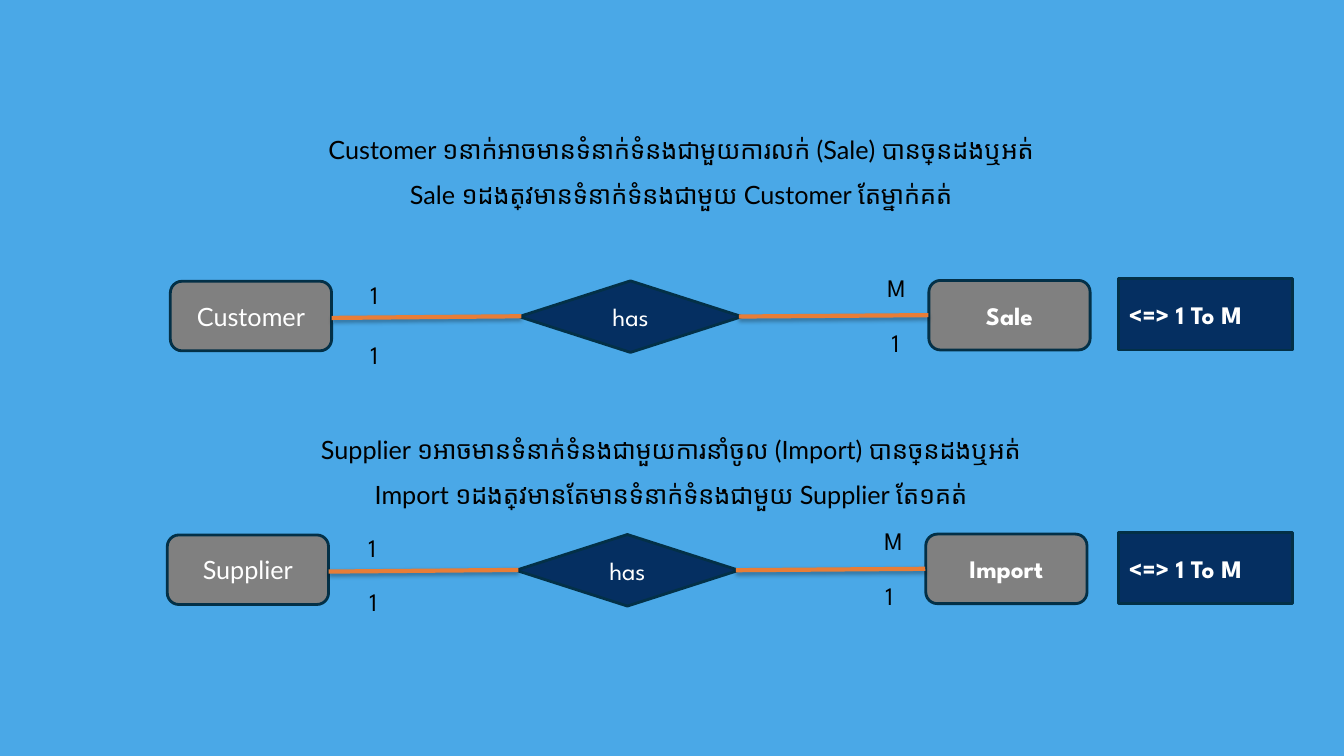
from dataclasses import dataclass

from lxml.etree import SubElement
from pptx import Presentation
from pptx.dml.color import RGBColor
from pptx.enum.shapes import MSO_CONNECTOR, MSO_SHAPE
from pptx.enum.text import MSO_ANCHOR, PP_ALIGN
from pptx.oxml.ns import qn
from pptx.util import Pt


@dataclass(frozen=True)
class Theme:
    background: str = "4AA8E7"
    entity: str = "808080"
    relation: str = "052F61"
    outline: str = "033047"
    link: str = "E87D37"
    dark_text: str = "000000"
    light_text: str = "FFFFFF"
    body_font: str = "Lato"
    accent_font: str = "League Spartan"
    text_size: float = 18
    outline_width: float = 2
    link_width: float = 3


class DiagramSlide:
    def __init__(self, slide, theme):
        self.slide = slide
        self.theme = theme
        fill = slide.background.fill
        fill.solid()
        fill.fore_color.rgb = RGBColor.from_string(theme.background)

    def set_text(self, shape, lines, font, color, align, bold=False, spacing=None):
        frame = shape.text_frame
        frame.word_wrap = True
        frame.text = "\n".join(lines)
        for paragraph in frame.paragraphs:
            paragraph.alignment = align
            paragraph.line_spacing = spacing
            paragraph.font.name = font
            paragraph.font.size = Pt(self.theme.text_size)
            paragraph.font.bold = bold
            paragraph.font.color.rgb = RGBColor.from_string(color)

    def text(self, lines, left, top, width, height, font, align, spacing=None):
        box = self.slide.shapes.add_textbox(Pt(left), Pt(top), Pt(width), Pt(height))
        self.set_text(box, lines, font, self.theme.dark_text, align, spacing=spacing)

    def node(self, kind, label, left, top, width, height, color, font,
             bold=False, align=PP_ALIGN.CENTER):
        shape = self.slide.shapes.add_shape(kind, Pt(left), Pt(top), Pt(width), Pt(height))
        shape.shadow.inherit = False
        shape.fill.solid()
        shape.fill.fore_color.rgb = RGBColor.from_string(color)
        shape.line.color.rgb = RGBColor.from_string(self.theme.outline)
        shape.line.width = Pt(self.theme.outline_width)
        shape.text_frame.vertical_anchor = MSO_ANCHOR.MIDDLE
        self.set_text(shape, [label], font, self.theme.light_text, align, bold)

    def link(self, start_x, start_y, end_x, end_y):
        connector = self.slide.shapes.add_connector(
            MSO_CONNECTOR.STRAIGHT, Pt(start_x), Pt(start_y), Pt(end_x), Pt(end_y))
        connector.line.color.rgb = RGBColor.from_string(self.theme.link)
        connector.line.width = Pt(self.theme.link_width)
        # Soft shadow straight below the line
        effects = SubElement(connector._element.spPr, qn("a:effectLst"))
        shadow = SubElement(effects, qn("a:outerShdw"), blurRad=str(Pt(3.1)),
                            dist=str(Pt(1.8)), dir="5400000", rotWithShape="0")
        color = SubElement(shadow, qn("a:srgbClr"), val="000000")
        SubElement(color, qn("a:alpha"), val="35000")

    def relationship(self, left, top, first, second, badge_left, cardinalities):
        theme = self.theme
        # Entities and the relation between them
        self.node(MSO_SHAPE.ROUNDED_RECTANGLE, first, left, top, 115.2, 49.7,
                  theme.entity, theme.body_font)
        self.node(MSO_SHAPE.FLOWCHART_DECISION, "has", left + 249.1, top - 0.3, 159.1, 51.1,
                  theme.relation, theme.accent_font)
        self.node(MSO_SHAPE.ROUNDED_RECTANGLE, second, left + 541.8, top - 0.6, 115.2, 49.7,
                  theme.entity, theme.accent_font, bold=True)
        self.link(left + 115.2, top + 26.2, left + 250.8, top + 25)
        self.link(left + 406.1, top + 25.2, left + 541.4, top + 24.2)

        # Resulting cardinality
        self.node(MSO_SHAPE.RECTANGLE, "<=> 1 To M", badge_left, top - 2, 123.8, 51.1,
                  theme.relation, theme.accent_font, bold=True, align=PP_ALIGN.LEFT)

        # Cardinalities at the ends of the links
        for label, x, y in cardinalities:
            self.text([label], x, y, 13.2, 28.8, theme.accent_font, PP_ALIGN.LEFT)


RELATIONSHIPS = [
    {
        "rules": ["Customer ១នាក់អាចមានទំនាក់ទំនងជាមួយការលក់ (Sale) បានច្រើនដងឬអត់",
                  "Sale ១ដងត្រូវមានទំនាក់ទំនងជាមួយ Customer តែម្នាក់គត់"],
        "rules_box": (182.2, 81.4, 608.4, 104.4),
        "origin": (121.7, 200.9),
        "entities": ("Customer", "Sale"),
        "cardinalities": [("1", 258.5, 195.8), ("1", 258.5, 239),
                          ("M", 627.8, 190.8), ("1", 630.7, 230.4)],
    },
    {
        "rules": ["Supplier ១អាចមានទំនាក់ទំនងជាមួយការនាំចូល (Import) បានច្រើនដងឬអត់",
                  "Import ១ដងត្រូវមានតែមានទំនាក់ទំនងជាមួយ Supplier តែ១គត់"],
        "rules_box": (195.1, 295.9, 568.1, 104.4),
        "origin": (119.5, 382.1),
        "entities": ("Supplier", "Import"),
        "cardinalities": [("1", 257, 376.6), ("1", 257.8, 415.4),
                          ("M", 625.7, 371.5), ("1", 626.4, 411.1)],
    },
]


def main():
    presentation = Presentation()
    presentation.slide_width = Pt(960)
    presentation.slide_height = Pt(540)
    theme = Theme()
    slide = presentation.slides.add_slide(presentation.slide_layouts[6])
    diagram = DiagramSlide(slide, theme)

    for item in RELATIONSHIPS:
        diagram.text(item["rules"], *item["rules_box"], theme.body_font,
                     PP_ALIGN.CENTER, spacing=1.5)
        diagram.relationship(*item["origin"], *item["entities"], 799.2,
                             item["cardinalities"])

    presentation.save("out.pptx")


if __name__ == "__main__":
    main()
